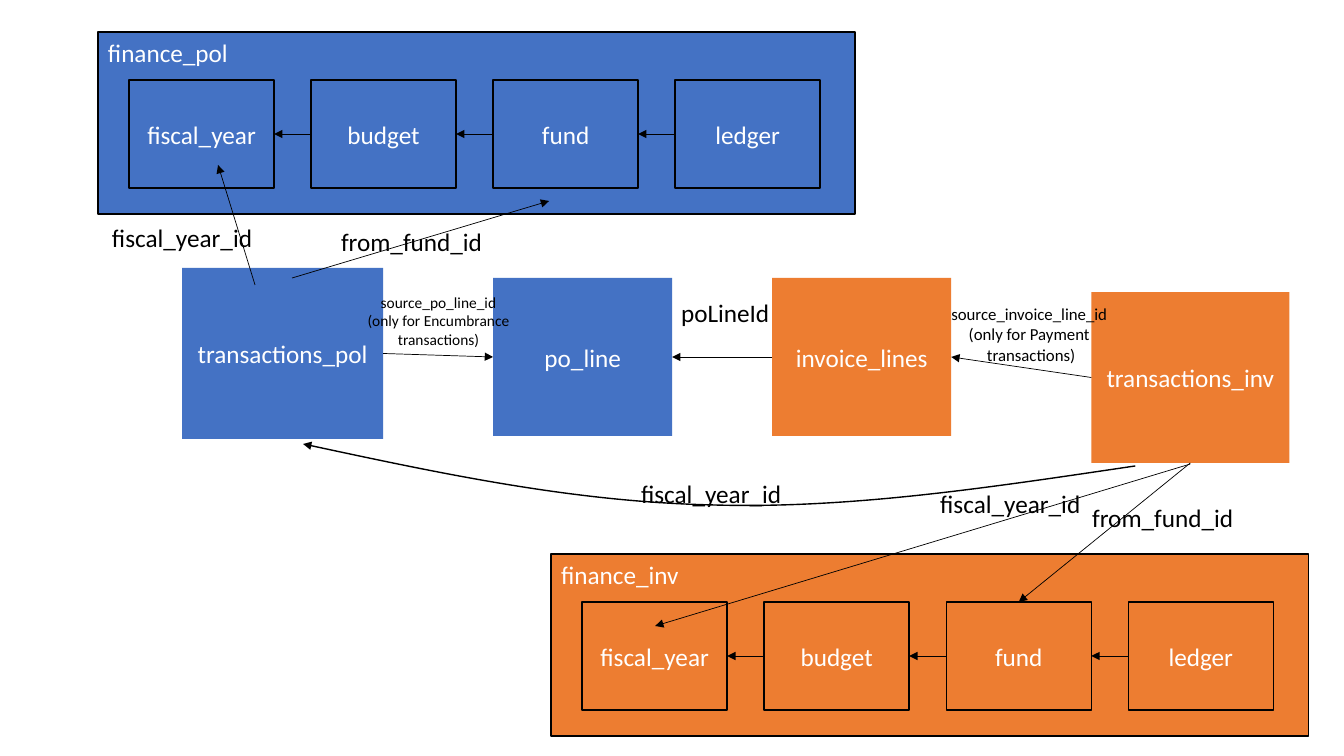
import dataclasses
import itertools
import typing

import lxml.etree
import pptx
import pptx.dml.color
import pptx.enum.shapes
import pptx.enum.text
import pptx.oxml
import pptx.oxml.ns
import pptx.util

PIXEL = 914400 / 100.8
TOP, LEFT, BOTTOM, RIGHT = range(4)  # connection sites of a rectangle
Point = tuple[int, int]


@dataclasses.dataclass(frozen=True)
class Theme:
    font: str = "Calibri"
    blue: str = "4472C4"
    orange: str = "ED7D31"
    black: str = "000000"
    white: str = "FFFFFF"
    body: int = 18
    note: int = 12
    small_note: int = 11
    thin: float = 0.5
    outline: float = 1


THEME = Theme()


@dataclasses.dataclass(frozen=True)
class Box:
    text: str
    left: int
    top: int
    width: int
    height: int
    fill: str
    outlined: bool = False
    title: bool = False


@dataclasses.dataclass(frozen=True)
class Label:
    text: str
    left: int
    top: int
    width: int
    height: int = 40
    size: int = THEME.body
    wrap: bool = False
    centred: bool = False


class Panel(typing.NamedTuple):
    title: str
    left: int
    top: int
    fill: str


class Link(typing.NamedTuple):
    source: str
    source_site: int
    target: str
    target_site: int


class Arrow(typing.NamedTuple):
    start: Point
    end: Point


def emu(pixels: float) -> int:
    return round(pixels * PIXEL)


def colour(value: str) -> pptx.dml.color.RGBColor:
    return pptx.dml.color.RGBColor.from_string(value)


def write(frame, text: str, size: int, ink: str, centred: bool) -> None:
    frame.text = text
    align = pptx.enum.text.PP_ALIGN
    for para in frame.paragraphs:
        para.alignment = align.CENTER if centred else align.LEFT
        for span in para.runs:
            span.font.name = THEME.font
            span.font.size = pptx.util.Pt(size)
            span.font.color.rgb = colour(ink)


def draw_box(page, box: Box):
    shape = page.shapes.add_shape(
        pptx.enum.shapes.MSO_SHAPE.RECTANGLE,
        *map(emu, (box.left, box.top, box.width, box.height)))
    shape.shadow.inherit = False
    shape.fill.solid()
    shape.fill.fore_color.rgb = colour(box.fill)
    if box.outlined:
        shape.line.color.rgb = colour(THEME.black)
        shape.line.width = pptx.util.Pt(THEME.outline)
    else:
        shape.line.fill.background()
    anchor = pptx.enum.text.MSO_ANCHOR
    shape.text_frame.vertical_anchor = anchor.TOP if box.title else anchor.MIDDLE
    write(shape.text_frame, box.text, THEME.body, THEME.white, not box.title)
    return shape


def draw_label(page, label: Label) -> None:
    shape = page.shapes.add_textbox(
        *map(emu, (label.left, label.top, label.width, label.height)))
    frame = shape.text_frame
    frame.word_wrap = label.wrap
    frame.auto_size = pptx.enum.text.MSO_AUTO_SIZE.SHAPE_TO_FIT_TEXT
    write(frame, label.text, label.size, THEME.black, label.centred)


def style_arrow(shape, width: float) -> None:
    shape.line.color.rgb = colour(THEME.black)
    shape.line.width = pptx.util.Pt(width)
    head = lxml.etree.SubElement(
        shape.line._get_or_add_ln(), pptx.oxml.ns.qn("a:tailEnd"))
    head.set("type", "triangle")


def draw_arrow(page, arrow: Arrow):
    line = page.shapes.add_connector(
        pptx.enum.shapes.MSO_CONNECTOR.STRAIGHT,
        *map(emu, arrow.start + arrow.end))
    style_arrow(line, THEME.thin)
    lxml.etree.SubElement(line._element.spPr, pptx.oxml.ns.qn("a:effectLst"))
    return line


def draw_link(page, source, source_site: int, target, target_site: int) -> None:
    line = draw_arrow(page, Arrow((0, 0), (0, 0)))
    line.begin_connect(source, source_site)
    line.end_connect(target, target_site)


def draw_curve(page, points: list[Point]) -> None:
    """Draw Bezier segments: a start, then three points per segment."""
    builder = page.shapes.build_freeform(*points[0], scale=PIXEL)
    builder.add_line_segments(points[1:], close=False)
    shape = builder.convert_to_shape()
    shape.shadow.inherit = False
    shape.fill.background()
    style_arrow(shape, THEME.outline)
    steps = list(shape._element.iter(pptx.oxml.ns.qn("a:lnTo")))
    for first in range(0, len(steps), 3):
        trio = steps[first:first + 3]
        bend = lxml.etree.Element(pptx.oxml.ns.qn("a:cubicBezTo"))
        trio[0].addprevious(bend)
        for step in trio:
            bend.append(step[0])
            step.getparent().remove(step)


def draw_panel(page, panel: Panel) -> dict:
    draw_box(page, Box(panel.title, panel.left, panel.top, 757, 182,
                       panel.fill, outlined=True, title=True))
    cells = {}
    for column, name in enumerate(("fiscal_year", "budget", "fund", "ledger")):
        cells[name] = draw_box(page, Box(
            name, panel.left + 31 + 182 * column, panel.top + 48, 145, 108,
            panel.fill, outlined=True))
    for target, source in itertools.pairwise(cells.values()):
        draw_link(page, source, LEFT, target, RIGHT)
    return {f"{panel.title}.{name}": cell for name, cell in cells.items()}


PANELS = [
    Panel("finance_pol", 98, 32, THEME.blue),
    Panel("finance_inv", 551, 554, THEME.orange),
]
BOXES = [
    Box("transactions_pol", 182, 268, 201, 171, THEME.blue),
    Box("po_line", 493, 278, 179, 158, THEME.blue),
    Box("invoice_lines", 772, 278, 179, 158, THEME.orange),
    Box("transactions_inv", 1091, 292, 198, 171, THEME.orange),
]
LINKS = [
    Link("invoice_lines", LEFT, "po_line", RIGHT),
    Link("transactions_inv", LEFT, "invoice_lines", RIGHT),
    Link("transactions_pol", RIGHT, "po_line", LEFT),
    Link("transactions_inv", BOTTOM, "finance_inv.fund", TOP),
]
ARROWS = [
    Arrow((1190, 464), (655, 626)),
    Arrow((292, 278), (549, 201)),
    Arrow((255, 285), (218, 165)),
]
YEAR_CURVE = [(1135, 466), (993, 487), (851, 509), (713, 505),
              (574, 502), (438, 473), (303, 444)]
LABELS = [
    Label("source_invoice_line_id\n(only for Payment\n transactions)",
          940, 299, 178, 72, THEME.note, centred=True),
    Label("source_po_line_id\n(only for Encumbrance\ntransactions)",
          355, 288, 167, 67, THEME.small_note, centred=True),
    Label("from_fund_id", 1082, 497, 163),
    Label("fiscal_year_id", 930, 483, 162),
    Label("fiscal_year_id", 631, 473, 162),
    Label("from_fund_id", 331, 221, 179, wrap=True),
    Label("fiscal_year_id", 102, 217, 174, wrap=True),
    Label("poLineId", 671, 292, 120, wrap=True),
]

deck = pptx.Presentation()
deck.slide_width = pptx.util.Inches(13.33)
deck.slide_height = pptx.util.Inches(7.5)
page = deck.slides.add_slide(deck.slide_layouts[6])

# Finance panels and record boxes
shapes = {}
for panel in PANELS:
    shapes.update(draw_panel(page, panel))
for box in BOXES:
    shapes[box.text] = draw_box(page, box)

# References between records
for link in LINKS:
    draw_link(page, shapes[link.source], link.source_site,
              shapes[link.target], link.target_site)
for arrow in ARROWS:
    draw_arrow(page, arrow)
draw_curve(page, YEAR_CURVE)

# Reference names
for label in LABELS:
    draw_label(page, label)

deck.save("out.pptx")
